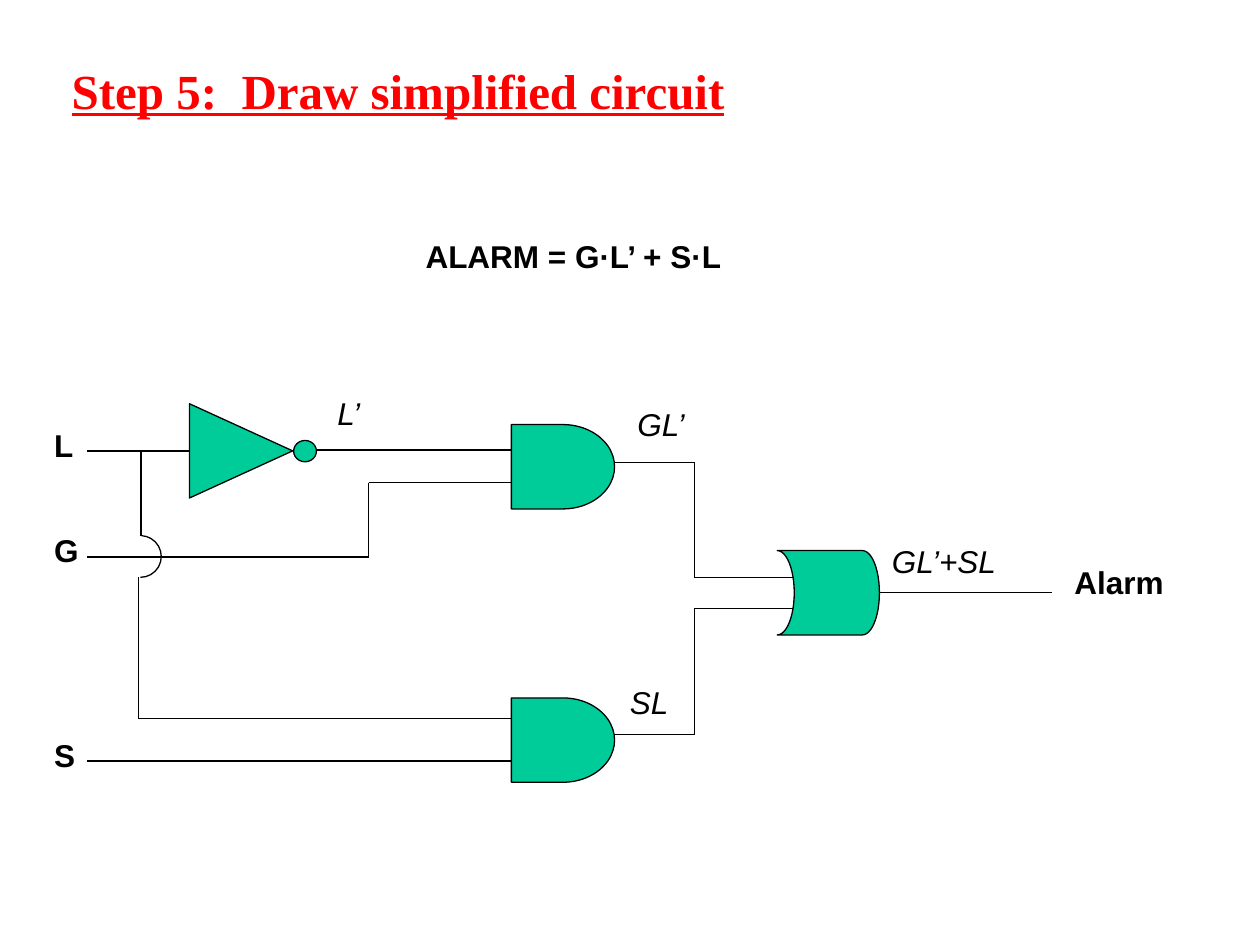
import itertools

import pptx
import pptx.dml.color
import pptx.enum.shapes
import pptx.enum.text
import pptx.util
from lxml import etree

Cm = pptx.util.Cm
Pt = pptx.util.Pt
Kind = pptx.enum.shapes.MSO_SHAPE
Text = pptx.enum.text

INK = {"title": "FF0000", "line": "000000", "gate": "00CC99"}
DRAWING = "http://schemas.openxmlformats.org/drawingml/2006/main"


def tint(name):
    return pptx.dml.color.RGBColor.from_string(INK[name])


class Board:
    """Holds the slide and the style of the circuit drawn on it."""

    font, size, weight = "Arial", 18, 0.75

    def __init__(self, slide):
        self.slide = slide

    def pen(self, line):
        line.color.rgb = tint("line")
        line.width = Pt(self.weight)

    def put(self, frame, text, ink="line", font=None, size=None, **style):
        """Add a styled run to the first paragraph."""
        run = frame.paragraphs[0].add_run()
        run.text = text
        run.font.name = font or self.font
        run.font.size = Pt(size or self.size)
        run.font.color.rgb = tint(ink)
        for name, value in style.items():
            setattr(run.font, name, value)

    def title(self, text, left, top, width, height):
        box = self.slide.shapes.title
        box.left, box.top = Cm(left), Cm(top)
        box.width, box.height = Cm(width), Cm(height)
        frame = box.text_frame
        frame.vertical_anchor = Text.MSO_ANCHOR.MIDDLE
        frame.margin_bottom = Cm(1.27)  # lifts the line above the middle
        frame.paragraphs[0].alignment = Text.PP_ALIGN.LEFT
        self.put(frame, text, "title", "Times New Roman", 28,
                 bold=True, underline=True)

    def label(self, text, left, top, width, **style):
        box = self.slide.shapes.add_textbox(
            Cm(left), Cm(top), Cm(width), Cm(1.27))
        frame = box.text_frame
        frame.word_wrap = False
        frame.auto_size = Text.MSO_AUTO_SIZE.SHAPE_TO_FIT_TEXT
        self.put(frame, text, **style)

    def wire(self, *points):
        """Draw straight segments through the points."""
        for start, end in itertools.pairwise(points):
            line = self.slide.shapes.add_connector(
                pptx.enum.shapes.MSO_CONNECTOR.STRAIGHT,
                *map(Cm, start + end))
            self.pen(line.line)
            etree.SubElement(line.element.spPr, f"{{{DRAWING}}}effectLst")

    def shape(self, kind, left, top, width, height, turn=0):
        item = self.slide.shapes.add_shape(
            kind, Cm(left), Cm(top), Cm(width), Cm(height))
        item.shadow.inherit = False
        item.rotation = turn
        self.pen(item.line)
        return item

    def gate(self, *args, flip=False, **more):
        item = self.shape(*args, **more)
        item.fill.solid()
        item.fill.fore_color.rgb = tint("gate")
        if flip:
            item.element.spPr.xfrm.set("flipH", "1")

    def hop(self, left, top, size):
        """Draw the half circle where one wire jumps over another."""
        arc = self.shape(Kind.ARC, left, top, size, size, turn=90)
        arc.adjustments[0], arc.adjustments[1] = 110.31, 0
        arc.fill.background()


def main():
    deck = pptx.Presentation()
    deck.slide_width, deck.slide_height = Cm(25.4), Cm(19.05)
    board = Board(deck.slides.add_slide(deck.slide_layouts[5]))

    board.title("Step 5:  Draw simplified circuit", 1.19, 0.79, 21.59, 3.18)
    board.label("ALARM = G·L’ + S·L", 8.33, 4.65, 8.56, bold=True)

    start, gate, out, bend, join = 1.75, 10.31, 12.37, 14, 16.08
    # Inputs L, G and S
    board.wire((start, 9.09), (3.84, 9.09))
    board.wire((6.38, 9.07), (gate, 9.07))
    board.wire((start, 11.23), (7.43, 11.23), (7.43, 9.73), (gate, 9.73))
    board.wire((start, 15.34), (gate, 15.34))
    # Branch of L that hops over G
    board.wire((2.84, 9.09), (2.84, 10.8))
    board.hop(2.41, 10.8, 0.84)
    board.wire((2.79, 11.64), (2.79, 14.48), (gate, 14.48))
    # Products into the sum, then the output
    for low, high in ((9.32, 11.64), (14.81, 12.27)):
        board.wire((out, low), (bend, low), (bend, high), (join, high))
    board.wire((17.73, 11.94), (21.21, 11.94))

    board.gate(Kind.FLOWCHART_EXTRACT, 3.91, 8.05, 1.9, 2.08, turn=90)
    board.gate(Kind.FLOWCHART_CONNECTOR, 5.92, 8.88, 0.46, 0.43)
    for top in (8.56, 14.07):
        board.gate(Kind.FLOWCHART_DELAY, gate, top, 2.08, 1.7)
    board.gate(Kind.FLOWCHART_STORED_DATA, 15.67, 11.1, 2.06, 1.7, flip=True)

    for text, left, top, width in (
            ("L", 0.84, 8.46, 1.17), ("G", 0.84, 10.59, 1.27),
            ("S", 0.84, 14.71, 1.07), ("Alarm", 21.41, 11.23, 2.92)):
        board.label(text, left, top, width, bold=True)
    for text, left, top, width in (
            ("L’", 6.55, 7.82, 1.4), ("GL’", 12.6, 8.05, 2.06),
            ("SL", 12.45, 13.64, 1.55), ("GL’+SL", 17.73, 10.8, 3.66)):
        board.label(text, left, top, width, italic=True)

    deck.save("out.pptx")


if __name__ == "__main__":
    main()
